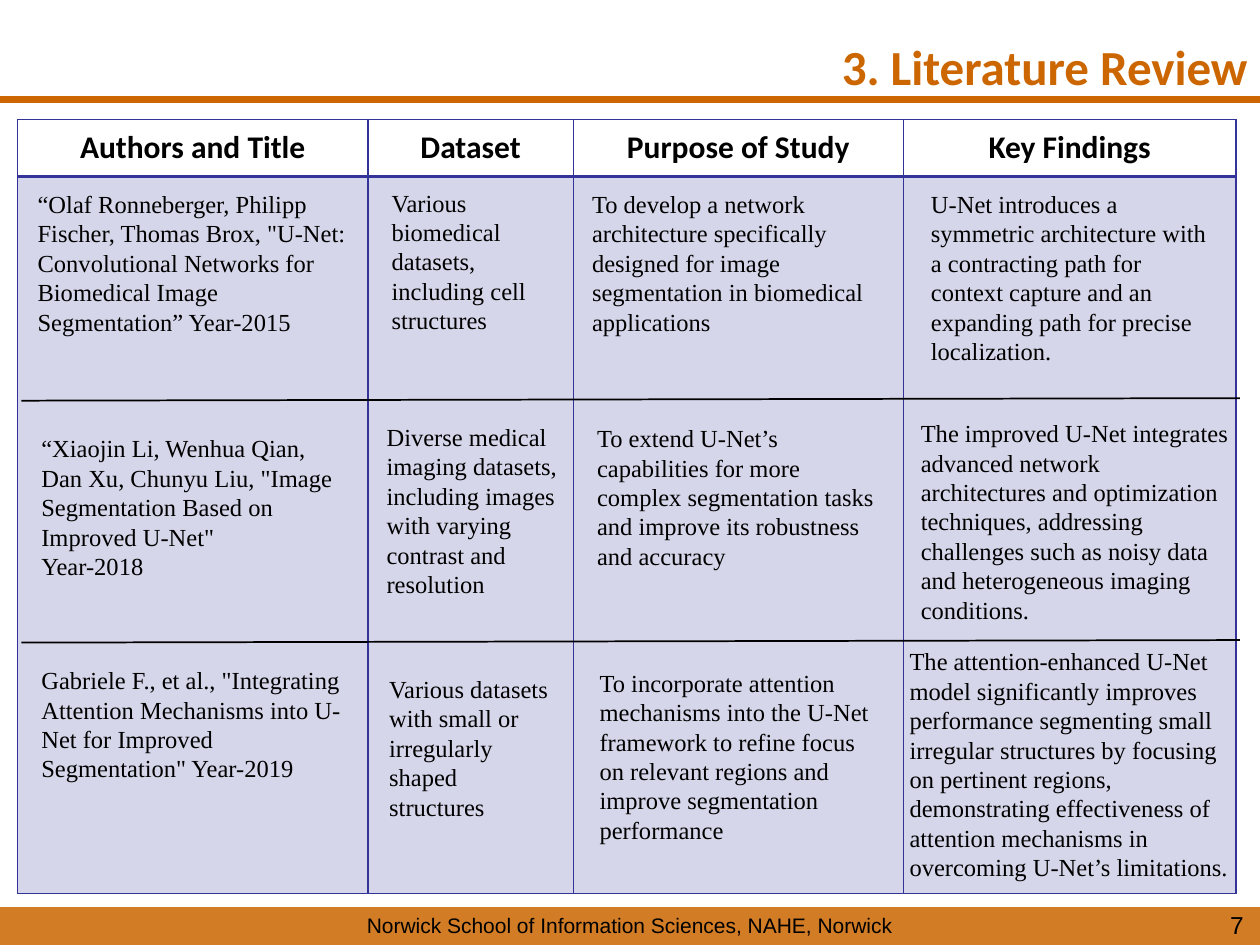
from pptx import Presentation
from pptx.dml.color import RGBColor
from pptx.enum.shapes import MSO_CONNECTOR, MSO_SHAPE
from pptx.enum.text import MSO_ANCHOR, MSO_AUTO_SIZE, PP_ALIGN
from pptx.oxml.ns import qn
from pptx.util import Inches, Pt
from lxml import etree

LEFT, CENTER, RIGHT = PP_ALIGN.LEFT, PP_ALIGN.CENTER, PP_ALIGN.RIGHT
TOP, MIDDLE = MSO_ANCHOR.TOP, MSO_ANCHOR.MIDDLE
GROW, FIXED = MSO_AUTO_SIZE.SHAPE_TO_FIT_TEXT, MSO_AUTO_SIZE.NONE
STRAIGHT, RECT = MSO_CONNECTOR.STRAIGHT, MSO_SHAPE.RECTANGLE

COLORS = {"accent": "CC6600", "grid": "333399", "ink": "000000"}
HEADS = ["Authors and Title", "Dataset", "Purpose of Study", "Key Findings"]
COLS = [2.78, 1.63, 2.62, 2.64]
ROWS = [0.45, 5.69]

# One list per study: left, top, width, height, text
STUDIES = [
    [
        (0.2, 1.45, 2.72, 1.28, "“Olaf Ronneberger, Philipp Fischer, Thomas Brox, \"U-Net: "
         "Convolutional Networks for Biomedical Image Segmentation” Year-2015"),
        (3.01, 1.44, 1.51, 1.28, "Various biomedical datasets, including cell structures"),
        (4.6, 1.45, 2.52, 1.28, "To develop a network architecture specifically designed for "
         "image segmentation in biomedical applications"),
        (7.29, 1.45, 2.46, 1.51, "U-Net introduces a symmetric architecture with a contracting "
         "path for context capture and an expanding path for precise localization."),
    ],
    [
        (0.23, 3.39, 2.6, 1.28, "“Xiaojin Li, Wenhua Qian, Dan Xu, Chunyu Liu, \"Image "
         "Segmentation Based on Improved U-Net\"\nYear-2018"),
        (2.97, 3.3, 1.8, 1.51, "Diverse medical imaging datasets, including images with varying "
         "contrast and resolution"),
        (4.64, 3.31, 2.45, 1.28, "To extend U-Net’s capabilities for more complex segmentation "
         "tasks and improve its robustness and accuracy"),
        (7.21, 3.27, 2.66, 1.75, "The improved U-Net integrates advanced network architectures "
         "and optimization techniques, addressing challenges such as noisy data and "
         "heterogeneous imaging conditions."),
    ],
    [
        (0.23, 5.23, 2.6, 1.04, "Gabriele F., et al., \"Integrating Attention Mechanisms into "
         "U-Net for Improved Segmentation\" Year-2019"),
        (2.99, 5.3, 1.51, 1.28, "Various datasets with small or irregularly shaped structures"),
        (4.66, 5.25, 2.42, 1.51, "To incorporate attention mechanisms into the U-Net framework "
         "to refine focus on relevant regions and improve segmentation performance"),
        (7.12, 5.08, 2.75, 1.99, "The attention-enhanced U-Net model significantly improves "
         "performance segmenting small irregular structures by focusing on pertinent regions, "
         "demonstrating effectiveness of attention mechanisms in overcoming U-Net’s "
         "limitations."),
    ],
]


class Deck:
    def __init__(self):
        self.prs = Presentation()
        self.prs.slide_width, self.prs.slide_height = Inches(10), Inches(7.5)
        self.slide = self.prs.slides.add_slide(self.prs.slide_layouts[5])
        self.shapes = self.slide.shapes

    def color(self, name):
        return RGBColor.from_string(COLORS[name])

    def style(self, frame, size, font, align=LEFT, color="ink", bold=False):
        for para in frame.paragraphs:
            para.alignment = align
            for run in para.runs:
                run.font.size, run.font.name, run.font.bold = Pt(size), font, bold
                run.font.color.rgb = self.color(color)

    def fill(self, obj, color, alpha):
        obj.fill.solid()
        obj.fill.fore_color.rgb = self.color(color)
        # Both shapes and cells hold one solid fill of their own
        tone = next(obj.fill._xPr.iter(qn("a:srgbClr")))
        etree.SubElement(tone, qn("a:alpha")).set("val", str(alpha * 1000))

    def title(self, text, x, y, w, h):
        box = self.shapes.title
        box.left, box.top, box.width, box.height = map(Inches, (x, y, w, h))
        frame = box.text_frame
        frame.text = text
        frame.vertical_anchor, frame.auto_size = TOP, FIXED
        self.style(frame, 28, "Calibri", RIGHT, "accent", True)

    def text(self, text, x, y, w, h, size=14, font="Times New Roman", align=LEFT):
        frame = self.shapes.add_textbox(*map(Inches, (x, y, w, h))).text_frame
        frame.text = text
        frame.word_wrap, frame.auto_size = True, GROW
        self.style(frame, size, font, align)

    def line(self, x1, y1, x2, y2, color, width):
        line = self.shapes.add_connector(STRAIGHT, *map(Inches, (x1, y1, x2, y2)))
        line.line.color.rgb, line.line.width = self.color(color), Pt(width)
        etree.SubElement(line._element.spPr, qn("a:effectLst"))

    def bar(self, x, y, w, h, color, alpha):
        bar = self.shapes.add_shape(RECT, *map(Inches, (x, y, w, h)))
        bar.shadow.inherit = False
        bar.line.fill.background()
        self.fill(bar, color, alpha)

    def border(self, cell, **widths):
        props = cell._tc.get_or_add_tcPr()
        for spot, (side, width) in enumerate(widths.items()):
            edge = etree.Element(qn("a:ln" + side), w=str(Pt(width)))
            solid = etree.SubElement(edge, qn("a:solidFill"))
            etree.SubElement(solid, qn("a:srgbClr")).set("val", COLORS["grid"])
            props.insert(spot, edge)

    def table(self, x, y, heads, cols, rows):
        size = map(Inches, (x, y, sum(cols), sum(rows)))
        table = self.shapes.add_table(len(rows), len(cols), *size).table
        table.horz_banding = False
        for row, height in zip(table.rows, rows):
            row.height = Inches(height)
        for i, (head, width) in enumerate(zip(heads, cols)):
            table.columns[i].width = Inches(width)
            top, body = table.cell(0, i), table.cell(1, i)
            top.text_frame.text = head
            top.vertical_anchor = MIDDLE
            top.fill.background()
            self.style(top.text_frame, 18, "Calibri", CENTER, bold=True)
            self.fill(body, "grid", 20)
            self.border(top, L=1, R=1, T=1, B=2)
            self.border(body, L=1, R=1, T=2, B=1)


def main():
    deck = Deck()

    # Heading and footer
    deck.line(0, 0.79, 10.03, 0.79, "accent", 4.5)
    deck.bar(0, 7.2, 10, 0.3, "accent", 85)
    deck.text("Norwick School of Information Sciences, NAHE, Norwick",
              0, 7.19, 10, 0.3, 12, "Arial", CENTER)
    deck.text("7", 7.64, 7.17, 2.33, 0.33, 14, "Arial", RIGHT)
    deck.title("3. Literature Review", 0.5, 0.24, 9.5, 0.42)

    # Grid with a rule between studies
    deck.table(0.14, 0.95, HEADS, COLS, ROWS)
    for y in (3.18, 5.1):
        deck.line(0.17, y, 9.84, y - 0.02, "ink", 1)

    # Study notes
    for study in STUDIES:
        for x, y, w, h, note in study:
            deck.text(note, x, y, w, h)

    deck.prs.save("out.pptx")


if __name__ == "__main__":
    main()
